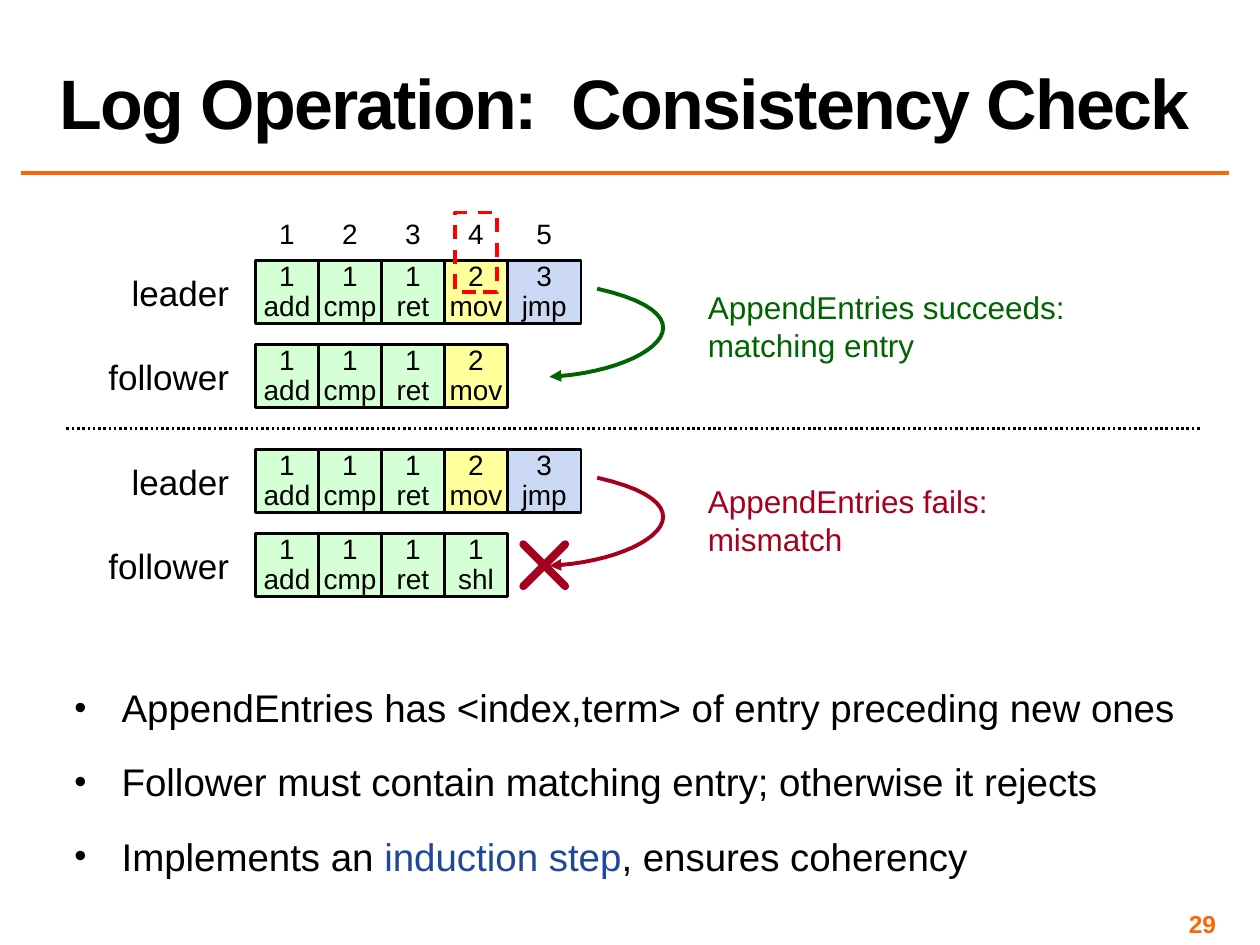
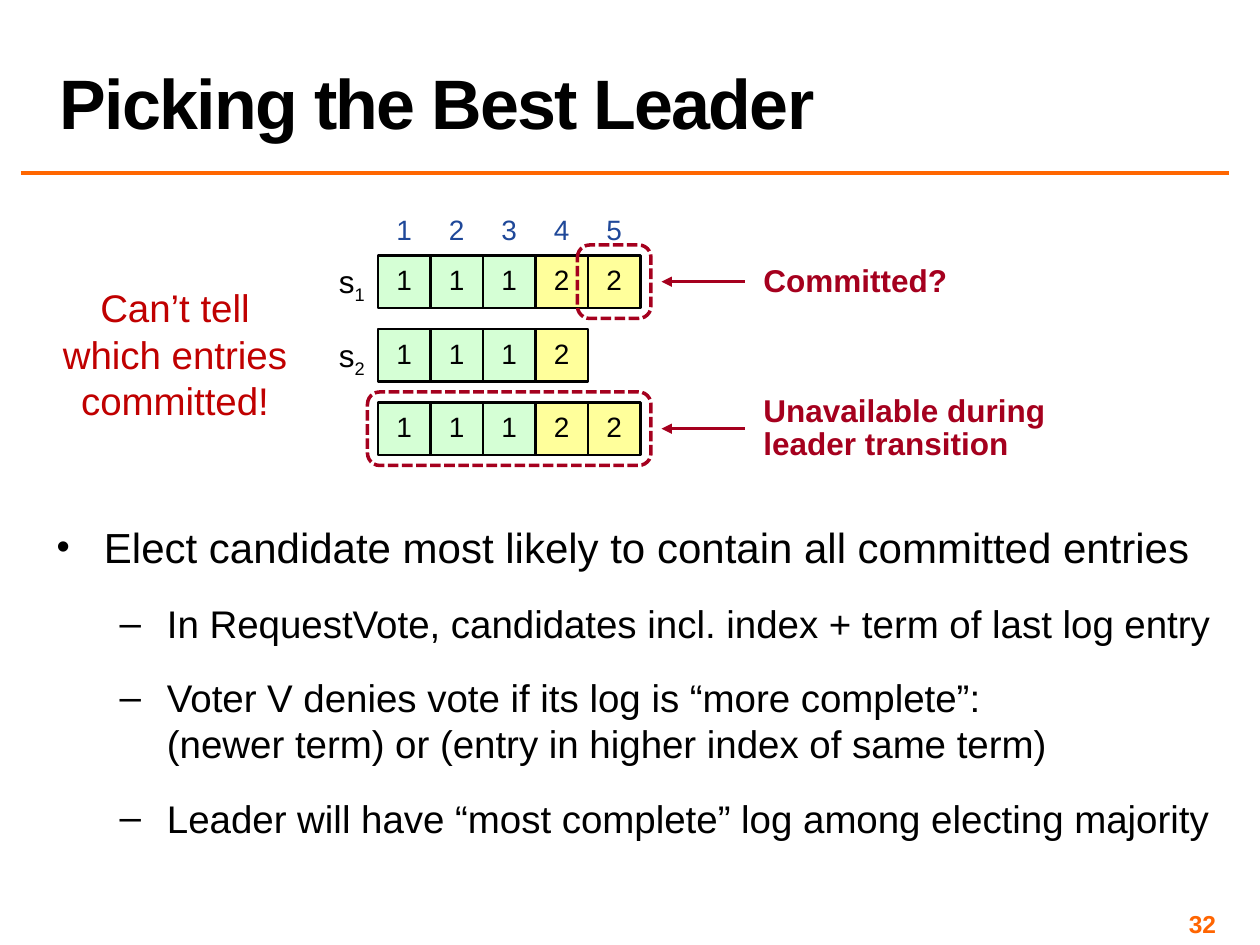
import pptx
import pptx.dml.color
import pptx.enum.dml
import pptx.enum.shapes
import pptx.enum.text
import pptx.oxml
import pptx.oxml.ns
import pptx.util

Pt = pptx.util.Pt
KIND = pptx.enum.shapes.MSO_SHAPE
DASH = pptx.enum.dml.MSO_LINE
ALIGN = pptx.enum.text.PP_ALIGN
ANCHOR = pptx.enum.text.MSO_ANCHOR
FIT = pptx.enum.text.MSO_AUTO_SIZE
FONT = "Arial"
BLACK, ORANGE, BLUE = "000000", "FF6600", "1F4899"
GREEN, WINE, RED, BRICK = "006400", "A5001E", "FF0000", "C00000"
MINT, LEMON, SKY = "D5FFD5", "FFFF9B", "CCD9F4"
INSET = (7.2, 3.6, 7.2, 3.6)
FLUSH = (0, 0, 0, 0)
TERMS = {"1": MINT, "2": LEMON, "3": SKY}


def tint(code):
    """Turn a hex string into a colour."""
    return pptx.dml.color.RGBColor.from_string(code)


def node(parent, tag, **attrs):
    """Append a drawing element with the given attributes."""
    item = pptx.oxml.parse_xml(f"<a:{tag} {pptx.oxml.ns.nsdecls('a')}/>")
    for key, value in attrs.items():
        item.set(key, value)
    parent.append(item)
    return item


def place(shape, box):
    """Move a shape to a box of left, top, width and height."""
    shape.left, shape.top, shape.width, shape.height = map(Pt, box)


def add_run(para, text, size, color=BLACK, bold=False):
    """Add one formatted run."""
    run = para.add_run()
    run.text = text
    font = run.font
    font.name, font.size, font.bold = FONT, Pt(size), bold
    font.color.rgb = tint(color)
    return run


def set_frame(frame, inset=INSET, anchor=ANCHOR.TOP, wrap=True):
    """Set margins, anchor and wrapping of a text frame."""
    frame.auto_size = FIT.NONE
    frame.word_wrap = wrap
    frame.vertical_anchor = anchor
    sides = map(Pt, inset)
    frame.margin_left, frame.margin_top, frame.margin_right, frame.margin_bottom = sides


def add_label(slide, box, lines, size, color=BLACK, align=ALIGN.LEFT, bold=False,
              inset=FLUSH, space=None):
    """Add a text box with one paragraph for each line."""
    frame = slide.shapes.add_textbox(*map(Pt, box)).text_frame
    set_frame(frame, inset)
    for i, line in enumerate(lines):
        para = frame.add_paragraph() if i else frame.paragraphs[0]
        para.alignment = align
        para.line_spacing = space and Pt(space)
        add_run(para, line, size, color, bold)
    return frame


def set_line(shape, color, width, dash=None, arrow=False):
    """Style the line of a shape and return its element."""
    line = shape.line
    line.color.rgb = tint(color)
    line.width = Pt(width)
    if dash:
        line.dash_style = dash
    item = shape.element.spPr.find(pptx.oxml.ns.qn("a:ln"))
    if arrow:
        node(item, "tailEnd", type="triangle")
    return item


def add_line(slide, start, end, color, width, dash=None, arrow=False):
    """Draw a straight line without a shadow."""
    kind = pptx.enum.shapes.MSO_CONNECTOR.STRAIGHT
    link = slide.shapes.add_connector(kind, *map(Pt, start + end))
    item = set_line(link, color, width, dash, arrow)
    node(link.element.spPr, "effectLst")
    return item


def add_frame(slide, box, kind, color, dash):
    """Draw a dashed outline."""
    shape = slide.shapes.add_shape(kind, *map(Pt, box))
    shape.shadow.inherit = False
    shape.fill.background()
    set_line(shape, color, 2, dash)


def add_cell(slide, box, lines):
    """Draw one log entry, coloured by its term."""
    shape = slide.shapes.add_shape(KIND.RECTANGLE, *map(Pt, box))
    shape.shadow.inherit = False
    shape.fill.solid()
    shape.fill.fore_color.rgb = tint(TERMS[lines[0]])
    set_line(shape, BLACK, 1.5)
    set_frame(shape.text_frame, FLUSH, ANCHOR.MIDDLE)
    para = shape.text_frame.paragraphs[0]
    para.alignment = ALIGN.CENTER
    para.line_spacing = Pt(17)
    for i, line in enumerate(lines):
        if i:
            para.add_line_break()
        add_run(para, line, 16)


def add_log(slide, left, top, widths, height, log):
    """Draw a row of log entries side by side."""
    for i, entry in enumerate(log):
        box = (left + sum(widths[:i]), top, widths[i], height)
        add_cell(slide, box, entry.split())


def add_heads(slide, left, top, widths, color):
    """Number the columns of a log."""
    for i, width in enumerate(widths):
        box = (left + sum(widths[:i]), top, width, 27)
        add_label(slide, box, [str(i + 1)], 16, color, ALIGN.CENTER, inset=INSET)


def add_curve(slide, points, color):
    """Draw an arrow along a cubic curve."""
    steps = 24
    trail = []
    for i in range(steps + 1):
        t = i / steps
        parts = ((1 - t) ** 3, 3 * t * (1 - t) ** 2, 3 * t * t * (1 - t), t ** 3)
        trail.append([Pt(sum(w * p[k] for w, p in zip(parts, points))) for k in (0, 1)])
    path = slide.shapes.build_freeform(*trail[0], scale=1.0)
    path.add_line_segments(trail[1:], close=False)
    shape = path.convert_to_shape()
    shape.shadow.inherit = False
    shape.fill.background()
    set_line(shape, color, 2.25, arrow=True)


def add_list(slide, box, items, gap):
    """Fill the body with bullets given as level, size and lines of runs."""
    body = slide.placeholders[1]
    place(body, box)
    set_frame(body.text_frame)
    for i, (level, size, lines) in enumerate(items):
        para = body.text_frame.add_paragraph() if i else body.text_frame.paragraphs[0]
        para.level = level
        props = para._p.get_or_add_pPr()
        props.set("marL", str(Pt(27 + 36 * level)))
        props.set("indent", str(Pt(-27)))
        node(node(props, "buClr"), "srgbClr", val=BLACK)
        if not level:
            node(props, "buSzPct", val="90000")
        node(props, "buFont", typeface=FONT)
        node(props, "buChar", char="–" if level else "•")
        para.alignment = ALIGN.LEFT
        para.space_before = Pt(gap if i else 0)
        para.space_after = Pt(0)
        for j, line in enumerate(lines):
            if j:
                para.add_line_break()
            for text, color in line:
                add_run(para, text, size, color)


def add_base(deck, title, number):
    """Start a slide with its title, rule and number."""
    slide = deck.slides.add_slide(deck.slide_layouts[1])
    head = slide.shapes.title
    place(head, (27, 1.5, 675, 84))
    set_frame(head.text_frame, anchor=ANCHOR.BOTTOM)
    para = head.text_frame.paragraphs[0]
    para.alignment = ALIGN.LEFT
    para.line_spacing = 0.8
    run = add_run(para, title, 40, bold=True)
    run.font._element.set("spc", "-100")
    add_line(slide, (12, 98.8), (702, 98.8), ORANGE, 2)
    add_label(slide, (534, 516, 168, 17), [number], 14, "FF6501", ALIGN.RIGHT, True, INSET)
    return slide


def add_case(slide, left, top, widths, logs, note, color, drop):
    """Draw a leader and follower pair with its outcome."""
    for i, (name, log) in enumerate(zip(("leader", "follower"), logs)):
        row = top + 48 * i
        add_log(slide, left, row, widths, 36, log)
        add_label(slide, (left - 95, row + 6, 80, 24), [name], 20, align=ALIGN.RIGHT)
    bends = ((195.3, 16), (268, 32.5), (222.5, 64), (168, 66.3))
    add_curve(slide, [(left + x, top + y) for x, y in bends], color)
    add_label(slide, (left + 251.4, top + drop, 222, 51), note, 18, color, inset=INSET)


def add_cross(slide, x, y, half):
    """Draw a round-ended cross about a point."""
    for side in (-half, half):
        item = add_line(slide, (x - half, y + side), (x + half, y - side), WINE, 4.5)
        item.set("cap", "rnd")


def make_check(deck):
    """Build the consistency check slide."""
    slide = add_base(deck, "Log Operation:  Consistency Check", "29")
    left, top, widths = 146, 149, (36, 36, 36, 36, 42)
    lead = ("1 add", "1 cmp", "1 ret", "2 mov", "3 jmp")
    add_heads(slide, left, top - 29, widths, BLACK)
    add_case(slide, left, top, widths, (lead, lead[:4]),
             ("AppendEntries succeeds:", "matching entry"), GREEN, 12)
    add_line(slide, (38, 244.8), (686, 244.8), BLACK, 1.5, DASH.ROUND_DOT)
    add_case(slide, left, top + 108, widths, (lead, lead[:3] + ("1 shl",)),
             ("AppendEntries fails:", "mismatch"), WINE, 15)
    add_cross(slide, left + 165, top + 174, 12)
    add_frame(slide, (left + 114, top - 27.5, 24, 45.5), KIND.RECTANGLE, RED, DASH.DASH)
    add_list(slide, (35.3, 387.4, 667, 115), [
        (0, 22, [[("AppendEntries has <index,term> of entry preceding new ones", BLACK)]]),
        (0, 22, [[("Follower must contain matching entry; otherwise it rejects", BLACK)]]),
        (0, 22, [[("Implements an ", BLACK), ("induction step", BLUE),
                  (", ensures coherency", BLACK)]]),
    ], 16)


def add_claim(slide, box, text, width, lines):
    """Ring some entries and point a remark at them."""
    x, y, wide, high = box
    pad, mid = 6, y + high / 2
    ring = (x - pad, y - pad, wide + 2 * pad, high + 2 * pad)
    add_frame(slide, ring, KIND.ROUNDED_RECTANGLE, WINE, DASH.SQUARE_DOT)
    edge = x + wide
    add_line(slide, (edge + 59.5, mid), (edge + 12, mid), WINE, 1.5, arrow=True)
    spot = (edge + 70.3, mid - 9.5 * lines, width, 19 * lines)
    add_label(slide, spot, [text], 18, WINE, bold=True, space=19)


def make_pick(deck):
    """Build the leader choice slide."""
    slide = add_base(deck, "Picking the Best Leader", "32")
    left, top, size, step = 216, 146, 30, 42
    widths = [size] * 5
    add_heads(slide, left, top - 28, widths, BLUE)
    for i, log in enumerate(("11122", "1112", "11122")):
        add_log(slide, left, top + step * i, widths, size, log)
    for i in range(2):
        frame = add_label(slide, (left - size, top + step * i + 4, size, 22), ["s"], 18,
                          align=ALIGN.CENTER)
        run = add_run(frame.paragraphs[0], str(i + 1), 18)
        run.font._element.set("baseline", "-25000")
    add_claim(slide, (left + 4 * size, top, size, size), "Committed?", 144, 1)
    add_claim(slide, (left, top + 2 * step, 5 * size, size),
              "Unavailable during leader transition", 199, 2)
    add_label(slide, (23, 159, 154, 87), ["Can’t tell which entries committed!"], 22, BRICK,
              ALIGN.CENTER, inset=INSET)
    add_list(slide, (25.2, 294.5, 677, 227), [
        (0, 24, [[("Elect candidate most likely to contain all committed entries", BLACK)]]),
        (1, 22, [[("In RequestVote, candidates incl. index + term of last log entry", BLACK)]]),
        (1, 22, [[("Voter V denies vote if its log is “more complete”:", BLACK)],
                 [("(newer term) or (entry in higher index of same term)", BLACK)]]),
        (1, 22, [[("Leader will have “most complete” log among electing majority", BLACK)]]),
    ], 16)


def main():
    """Build and save the deck."""
    deck = pptx.Presentation()
    deck.slide_width, deck.slide_height = Pt(720), Pt(540)
    make_check(deck)
    make_pick(deck)
    deck.save("out.pptx")


if __name__ == "__main__":
    main()
